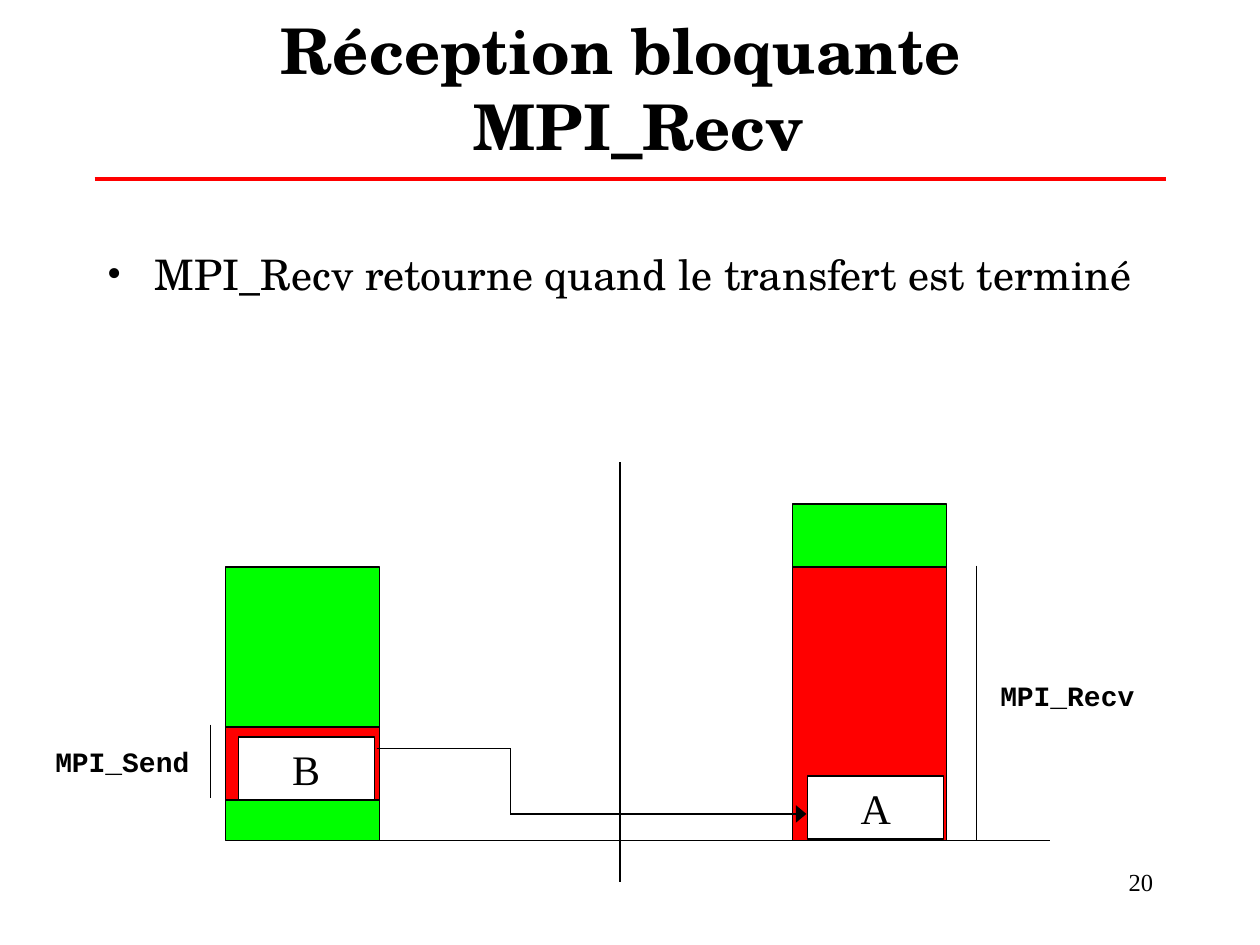
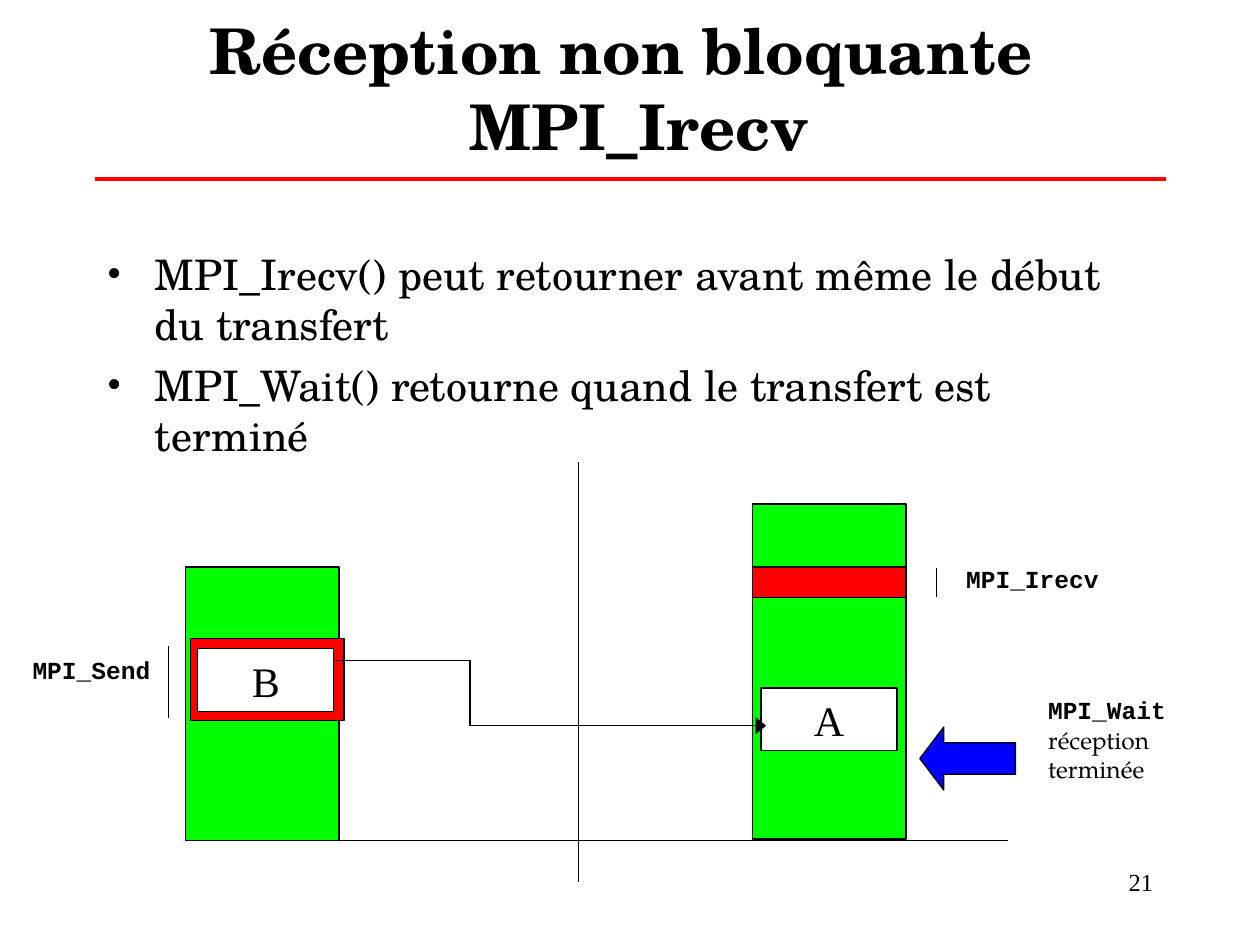
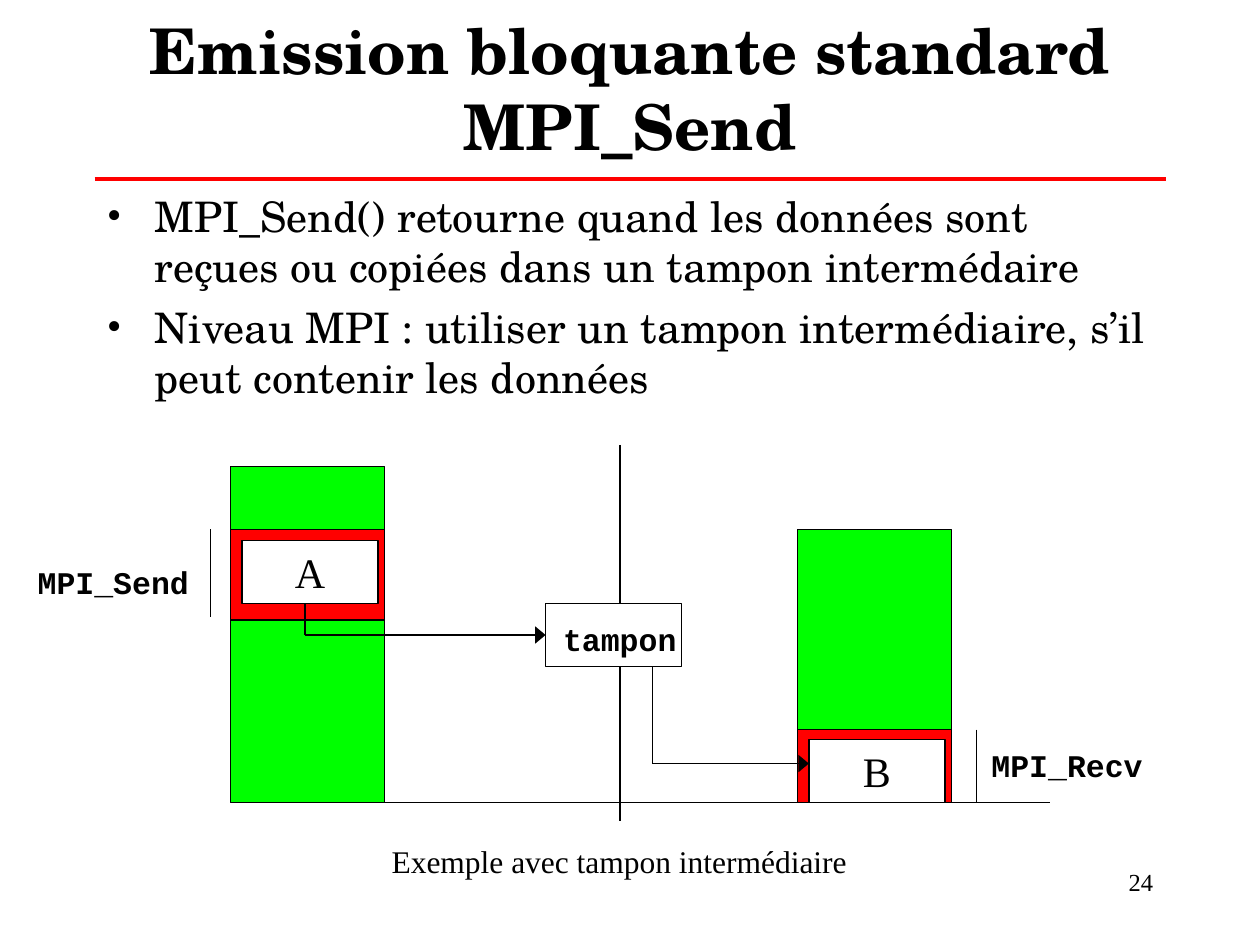
"""Build three slides on blocking and non-blocking MPI messages."""
from lxml.etree import SubElement
from pptx import Presentation
from pptx.dml.color import RGBColor
from pptx.enum.shapes import MSO_CONNECTOR, MSO_SHAPE
from pptx.enum.text import MSO_ANCHOR, PP_ALIGN
from pptx.oxml.ns import qn
from pptx.util import Pt

PX = 9144
BLACK, WHITE, RED, GREEN, BLUE = "000000", "FFFFFF", "FF0000", "00FF00", "0000FF"
SCHOLA, TIMES, COURIER = "TeX Gyre Schola", "Times New Roman", "Courier New"
COL_W, BUF_W, BUF_H = 122, 108, 50
COL_GAP = 450

TITLE = {"name": SCHOLA, "size": Pt(36), "bold": True}
BODY = {"name": SCHOLA, "size": Pt(24)}
BUFFER = {"name": TIMES, "size": Pt(24)}
CAPTION = {"name": TIMES, "size": Pt(18)}
NUMBER = {"name": TIMES, "size": Pt(14)}
CODE = {size: {"name": COURIER, "size": Pt(size), "bold": True} for size in (14, 16, 18)}
PAGELLA = {"name": "TeX Gyre Pagella", "bold": False}


def box(s, x, y, w, h, fill=None, text="", font=None, align=PP_ALIGN.LEFT,
        anchor=MSO_ANCHOR.TOP, shape=MSO_SHAPE.RECTANGLE):
    if fill:
        sp = s.shapes.add_shape(shape, x * PX, y * PX, w * PX, h * PX)
        sp.shadow.inherit = False
        sp.fill.solid()
        sp.fill.fore_color.rgb = RGBColor.from_string(fill)
        sp.line.color.rgb = RGBColor.from_string(BLACK)
        sp.line.width = Pt(0.75)
    else:
        sp = s.shapes.add_textbox(x * PX, y * PX, w * PX, h * PX)
    tf = sp.text_frame
    tf.word_wrap, tf.vertical_anchor = True, anchor
    if text:
        tf.text = text
    for p in tf.paragraphs:
        p.alignment = align
        for r in p.runs:
            r.font.color.rgb = RGBColor.from_string(BLACK)
            for key, value in font.items():
                setattr(r.font, key, value)
    return sp


def line(s, x1, y1, x2, y2, color=BLACK, width=0.75, arrow=False):
    cx = s.shapes.add_connector(MSO_CONNECTOR.STRAIGHT, x1 * PX, y1 * PX, x2 * PX, y2 * PX)
    cx.line.color.rgb = RGBColor.from_string(color)
    cx.line.width = Pt(width)
    if arrow:
        SubElement(cx.line._get_or_add_ln(), qn("a:tailEnd"), type="triangle", w="lg", len="med")
    SubElement(cx._element.spPr, qn("a:effectLst"))


prs = Presentation()
prs.slide_width, prs.slide_height = 1000 * PX, 750 * PX

pages = [
    {"number": "20", "title": "Réception bloquante \v MPI_Recv", "title_x": 75, "body_y": 192,
     "bullets": ["MPI_Recv retourne quand le transfert est terminé"],
     "axis": (492, 367, 700, 667), "left": 179,
     "bars": [(0, 450, 217, GREEN), (1, 400, 217, GREEN), (1, 450, 217, RED), (0, 577, 58, RED)],
     "buffers": [("A", 641, 616), ("B", 189, 585)],
     "marks": [(-325, 575, 633), (283, 449, 667)],
     "labels": [("MPI_Send", 34, 586, 16), ("MPI_Recv", 784, 534, 16)],
     "routes": [[(299, 594), (405, 594), (405, 646), (640, 646)]]},
    {"number": "21", "title": "Réception non bloquante \v MPI_Irecv", "title_x": 46, "body_y": 192,
     "bullets": ["MPI_Irecv() peut retourner avant même le début du transfert",
                 "MPI_Wait() retourne quand le transfert est terminé"],
     "axis": (459, 367, 700, 667), "left": 147,
     "bars": [(0, 450, 217, GREEN), (1, 400, 266, GREEN), (1, 450, 24, RED)],
     "buffers": [("A", 604, 546), ("B", 157, 515)],
     "marks": [(-325, 513, 570), (284, 451, 474)],
     "labels": [("MPI_Send", 16, 515, 14), ("MPI_Irecv", 757, 443, 14)],
     "routes": [[(266, 524), (373, 524), (373, 576), (608, 576)]]},
    {"number": "24", "title": "Emission bloquante standard\vMPI_Send", "title_x": 75, "body_y": 146,
     "bullets": ["MPI_Send() retourne quand les données sont reçues ou copiées dans un tampon intermédaire",
                 "Niveau MPI : utiliser un tampon intermédiaire, s’il peut contenir les données"],
     "axis": (492, 353, 652, 637), "left": 183,
     "bars": [(1, 420, 217, GREEN), (0, 370, 267, GREEN), (0, 420, 72, RED), (1, 579, 58, RED)],
     "buffers": [("A", 192, 429), ("B", 642, 587), ("", 433, 479)],
     "marks": [(-325, 420, 490), (283, 579, 637)],
     "labels": [("MPI_Send", 20, 442, 18), ("MPI_Recv", 777, 587, 18), ("tampon", 437, 487, 18)],
     "routes": [[(242, 479), (242, 504), (433, 504)], [(518, 529), (518, 606), (642, 606)]]},
]

for page in pages:
    s = prs.slides.add_slide(prs.slide_layouts[6])
    line(s, 75, 142, 925, 142, RED, 2.25)
    box(s, page["title_x"], -4, 1000 - 2 * page["title_x"], 147, None, page["title"], TITLE,
        PP_ALIGN.CENTER, MSO_ANCHOR.MIDDLE)
    body = box(s, 75, page["body_y"], 850, 450, None, "\n".join(page["bullets"]), BODY)
    for i, p in enumerate(body.text_frame.paragraphs):
        pPr = p._p.get_or_add_pPr()
        pPr.set("marL", str(38 * PX))
        pPr.set("indent", str(-38 * PX))
        SubElement(pPr, qn("a:buFont"), typeface=TIMES)
        SubElement(pPr, qn("a:buChar"), char="•")
        if i:
            p.space_before = Pt(6)

    axis, top, bottom, base = page["axis"]
    line(s, axis - 217, base, axis + 341, base)
    line(s, axis, top, axis, bottom)
    for column, y, h, color in page["bars"]:
        box(s, page["left"] + column * COL_GAP, y, COL_W, h, color)
    if page["number"] == "21":
        box(s, 151, 507, COL_W, 65, RED)
    for name, x, y in page["buffers"]:
        box(s, x, y, BUF_W, BUF_H, WHITE, name, BUFFER, PP_ALIGN.CENTER, MSO_ANCHOR.MIDDLE)
    for dx, y1, y2 in page["marks"]:
        line(s, axis + dx, y1, axis + dx, y2)
    for name, x, y, size in page["labels"]:
        box(s, x, y, 22 + len(name) * size * 5 // 6, 10 + size * 3 // 2, None, name, CODE[size])
    for route in page["routes"]:
        for i, (start, end) in enumerate(zip(route, route[1:]), 2):
            line(s, *start, *end, arrow=i == len(route))

    if page["number"] == "21":
        wait = box(s, 822, 547, 160, 76, WHITE, "MPI_Wait\nréception terminée", CODE[14])
        wait.line.fill.background()
        for key, value in PAGELLA.items():
            setattr(wait.text_frame.paragraphs[1].runs[0].font, key, value)
        arrow = box(s, 730, 577, 76, 50, BLUE, shape=MSO_SHAPE.RIGHT_ARROW)
        arrow.rotation = 180
        arrow.adjustments[1] = 0.38
    if page["number"] == "24":
        box(s, 301, 663, 390, 35, None, "Exemple avec tampon intermédiaire", CAPTION)
    box(s, 717, 683, 208, 50, None, page["number"], NUMBER, PP_ALIGN.RIGHT)

prs.save("out.pptx")
